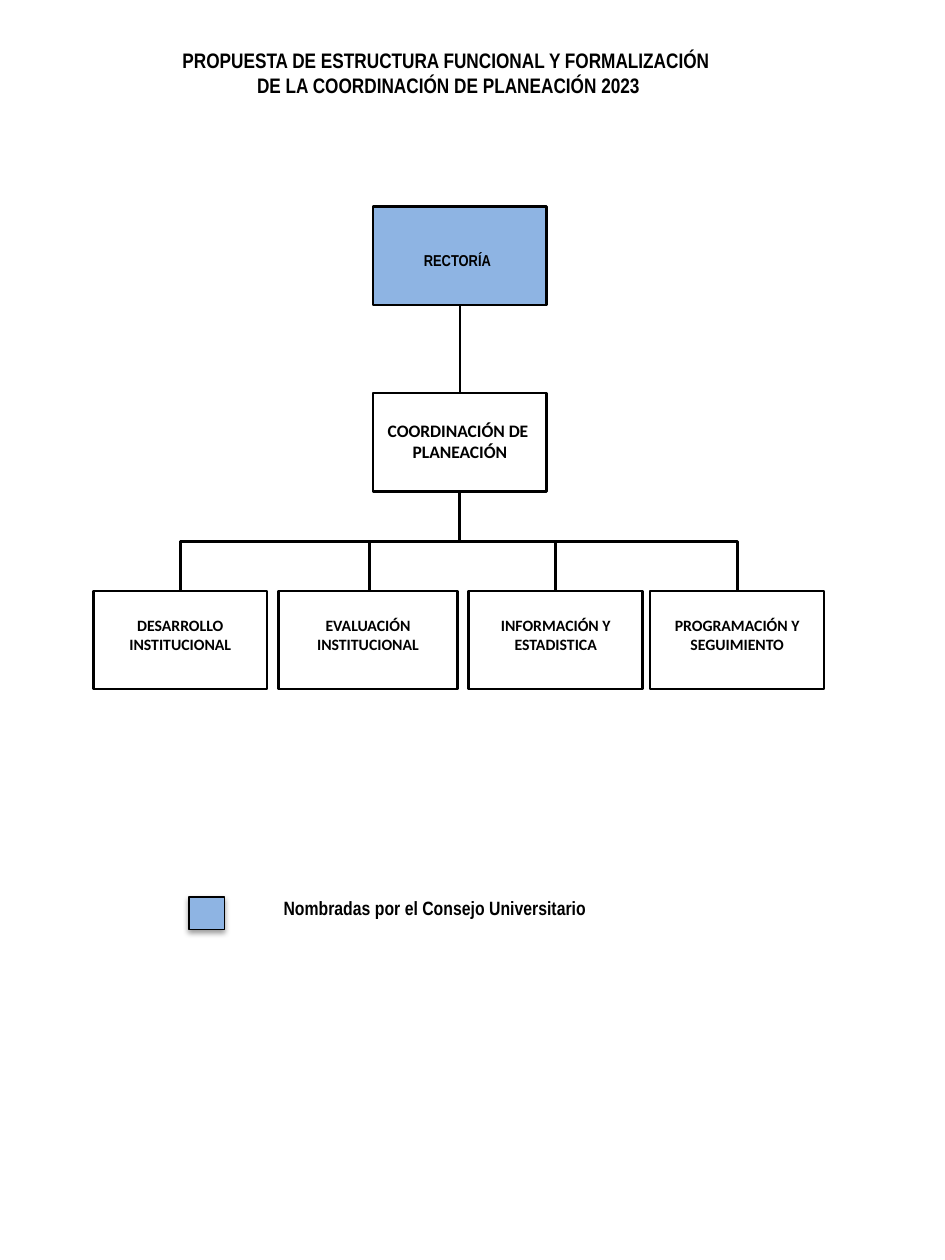
from dataclasses import dataclass

from lxml import etree
from pptx import Presentation
from pptx.dml.color import RGBColor
from pptx.enum.shapes import MSO_CONNECTOR, MSO_SHAPE
from pptx.enum.text import MSO_ANCHOR, PP_ALIGN
from pptx.oxml.ns import qn
from pptx.util import Inches, Pt

RECT = MSO_SHAPE.RECTANGLE
PROCESS = MSO_SHAPE.FLOWCHART_PROCESS
STRAIGHT = MSO_CONNECTOR.STRAIGHT
ELBOW = MSO_CONNECTOR.ELBOW
TOP = MSO_ANCHOR.TOP
LEFT = PP_ALIGN.LEFT
CENTER = PP_ALIGN.CENTER


@dataclass(frozen=True)
class Theme:
    ink: RGBColor = RGBColor(0, 0, 0)
    blue: RGBColor = RGBColor(0x8E, 0xB4, 0xE3)
    narrow: str = "Arial Narrow"
    body: str = "Calibri"
    title: int = 12
    legend: int = 11
    lead: int = 10
    unit: int = 9
    border: float = 1.5
    branch: float = 1.75
    thin: float = 0.75


THEME = Theme()

BOX_W, BOX_H = 1.38, 0.78
MID = 3.65
RECTOR_Y, COORD_Y, UNIT_Y = 1.64, 3.12, 4.69

# Label, left edge, width and branch position of each unit
UNITS = [
    ("DESARROLLO INSTITUCIONAL", 0.74, BOX_W, 1.43),
    ("EVALUACIÓN INSTITUCIONAL", 2.21, 1.42, 2.93),
    ("INFORMACIÓN Y ESTADISTICA", 3.72, BOX_W, 4.41),
    ("PROGRAMACIÓN Y SEGUIMIENTO", 5.16, BOX_W, 5.85),
]


def set_text(shape, lines, size, font, insets, align=CENTER):
    frame = shape.text_frame
    frame.word_wrap = True
    frame.vertical_anchor = TOP
    left, top, right, bottom = insets
    frame.margin_left, frame.margin_top = Inches(left), Inches(top)
    frame.margin_right, frame.margin_bottom = Inches(right), Inches(bottom)
    frame.text = "\n".join(lines)
    for para in frame.paragraphs:
        para.alignment = align
        for run in para.runs:
            run.font.size = Pt(size)
            run.font.name = font
            run.font.bold = True
            run.font.color.rgb = THEME.ink


def add_box(slide, x, y, w, h, fill=None, kind=RECT, width=THEME.border):
    box = slide.shapes.add_shape(kind, Inches(x), Inches(y), Inches(w), Inches(h))
    box.shadow.inherit = False
    if fill is None:
        box.fill.background()
    else:
        box.fill.solid()
        box.fill.fore_color.rgb = fill
    box.line.color.rgb = THEME.ink
    box.line.width = Pt(width)
    return box


def add_label(slide, x, y, w, h, lines, size, insets, align=CENTER):
    label = slide.shapes.add_textbox(Inches(x), Inches(y), Inches(w), Inches(h))
    set_text(label, lines, size, THEME.narrow, insets, align)


def add_link(slide, kind, x1, y1, x2, y2, width):
    link = slide.shapes.add_connector(
        kind, Inches(x1), Inches(y1), Inches(x2), Inches(y2))
    link.line.color.rgb = THEME.ink
    link.line.width = Pt(width)
    etree.SubElement(link._element.spPr, qn("a:effectLst"))
    return link


def add_branch(slide, x1, y1, x2, y2):
    """Elbow that leaves downwards: lay it on its side, then turn it."""
    cx, cy = (x1 + x2) / 2, (y1 + y2) / 2
    dx, dy = (y2 - y1) / 2, abs(x2 - x1) / 2
    turn = 90
    if x2 > x1:
        dx, turn = -dx, 270
    link = add_link(slide, ELBOW, cx - dx, cy - dy, cx + dx, cy + dy, THEME.branch)
    link._element.spPr.find(qn("a:xfrm")).set("rot", str(turn * 60000))


def add_shadow(shape):
    effects = shape._element.spPr.find(qn("a:effectLst"))
    outer = etree.SubElement(
        effects, qn("a:outerShdw"), blurRad="40000", dist="20000",
        dir="5400000", rotWithShape="0")
    color = etree.SubElement(outer, qn("a:srgbClr"), val=str(THEME.ink))
    etree.SubElement(color, qn("a:alpha"), val="38000")


def main():
    deck = Presentation()
    deck.slide_width, deck.slide_height = Inches(7.5), Inches(10)
    slide = deck.slides.add_slide(deck.slide_layouts[6])

    # Title
    add_label(slide, 1.05, 0.33, 5.02, 0.5,
              ["PROPUESTA DE ESTRUCTURA FUNCIONAL Y FORMALIZACIÓN ",
               "DE LA COORDINACIÓN DE PLANEACIÓN 2023"],
              THEME.title, (0.1, 0.05, 0.1, 0.05))

    # Upper levels
    lead_x = MID - BOX_W / 2
    rector = add_box(slide, lead_x, RECTOR_Y, BOX_W, BOX_H, THEME.blue, PROCESS)
    set_text(rector, ["RECTORÍA"], THEME.unit, THEME.narrow,
             (0.04, 0.35, 0.08, 0.04))
    coord = add_box(slide, lead_x, COORD_Y, BOX_W, BOX_H)
    set_text(coord, ["COORDINACIÓN DE ", "PLANEACIÓN"], THEME.lead, THEME.body,
             (0.1, 0.21, 0.1, 0.05))
    add_link(slide, STRAIGHT, MID, RECTOR_Y + BOX_H, MID, COORD_Y, THEME.border)

    # Units and their branches
    for name, x, w, stem in UNITS:
        unit = add_box(slide, x, UNIT_Y, w, BOX_H)
        set_text(unit, [name], THEME.unit, THEME.body, (0.1, 0.2, 0.1, 0.05))
        add_branch(slide, MID, COORD_Y + BOX_H, stem, UNIT_Y)

    # Legend
    key = add_box(slide, 1.5, 7.12, 0.28, 0.26, THEME.blue, width=THEME.thin)
    add_shadow(key)
    add_label(slide, 2.25, 7.02, 4.65, 0.44,
              ["Nombradas por el Consejo Universitario"],
              THEME.legend, (0, 0.12, 0.25, 0.12), LEFT)

    deck.save("out.pptx")


if __name__ == "__main__":
    main()
